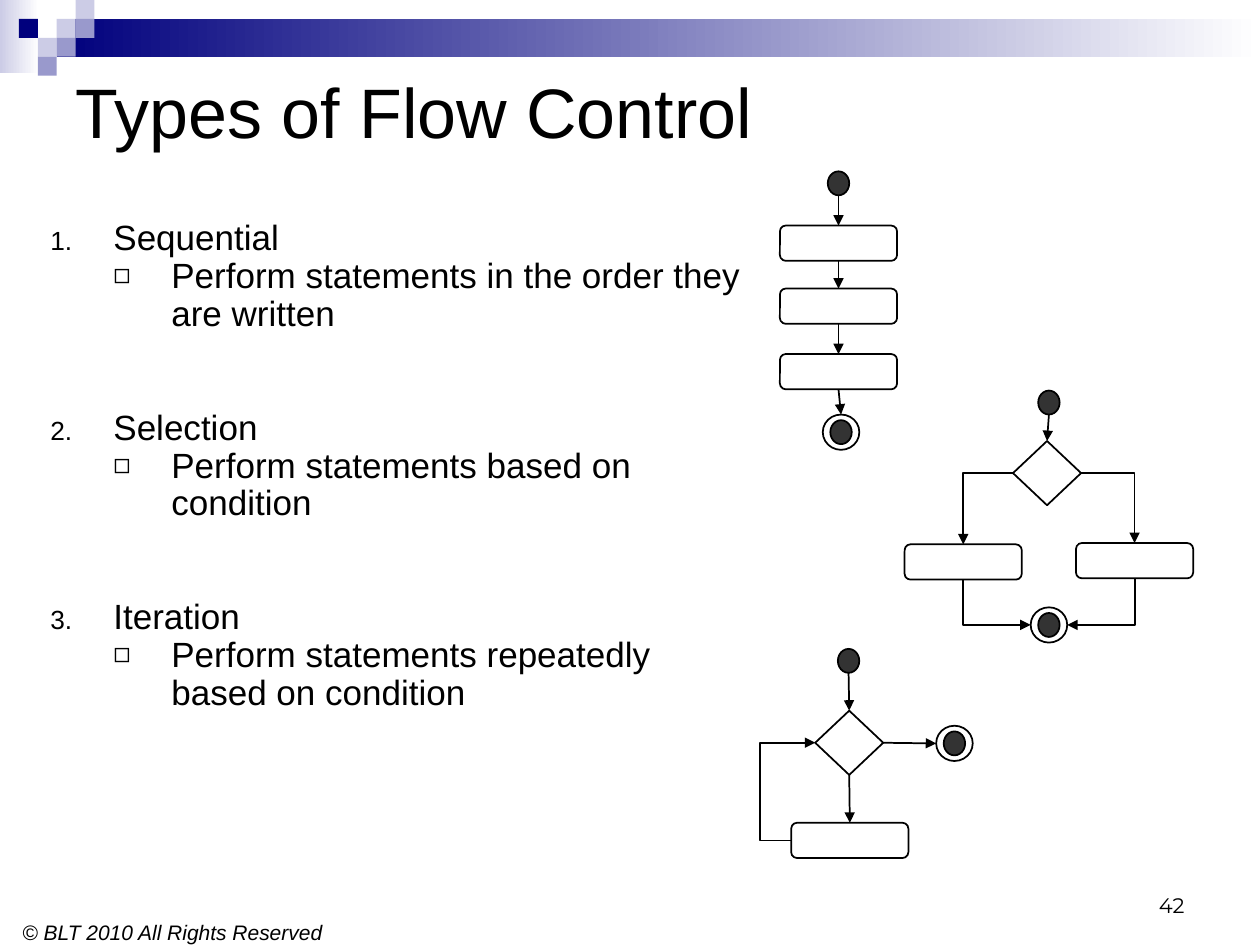
from typing import NamedTuple, Optional

from pptx import Presentation
from pptx.dml.color import RGBColor
from pptx.enum.shapes import MSO_CONNECTOR as Link, MSO_SHAPE as Shape
from pptx.enum.text import MSO_ANCHOR as Anchor, MSO_AUTO_SIZE as AutoSize, PP_ALIGN as Align
from pptx.oxml.ns import qn
from pptx.util import Inches, Pt
from lxml.etree import SubElement

BLACK = RGBColor(0, 0, 0)
WHITE = RGBColor(255, 255, 255)
DOT_GRAY = RGBColor(0x33, 0x33, 0x33)
NAVY = RGBColor(0, 0, 0x7D)
LILAC = RGBColor(0xCC, 0xCC, 0xE6)
PERIWINKLE = RGBColor(0x99, 0x99, 0xCC)
COLS, ROWS = 100, 75
TOP, LEFT, BOTTOM, RIGHT = range(4)


class Kind(NamedTuple):
    """A flowchart symbol, sized in grid cells."""
    shape: Shape
    width: float
    height: float
    fill: Optional[RGBColor] = None


class Topic(NamedTuple):
    name: str
    detail: str


STEP = Kind(Shape.ROUNDED_RECTANGLE, 9.3, 2.8)
DECISION = Kind(Shape.DIAMOND, 5.4, 5.1)
DOT = Kind(Shape.FLOWCHART_CONNECTOR, 1.7, 1.9, DOT_GRAY)
RING = Kind(Shape.FLOWCHART_CONNECTOR, 2.9, 2.8)
TOPICS = [
    Topic("Sequential", "Perform statements in the order they are written"),
    Topic("Selection", "Perform statements based on condition"),
    Topic("Iteration", "Perform statements repeatedly based on condition"),
]
MOSAIC = [(3, 1, LILAC), (4, 0, LILAC), (4, 1, PERIWINKLE), (2, 2, LILAC),
          (1, 1, NAVY), (3, 2, PERIWINKLE), (2, 3, PERIWINKLE)]
TILE = 1.5

prs = Presentation()
prs.slide_width, prs.slide_height = Inches(10), Inches(7.5)
s = prs.slides.add_slide(prs.slide_layouts[1])


def cells(*values: float) -> list[int]:
    """Lengths for alternating column and row counts."""
    spans = (prs.slide_width / COLS, prs.slide_height / ROWS)
    return [round(v * spans[i % 2]) for i, v in enumerate(values)]


def band(left: float, top: float, width: float, height: float,
         color: RGBColor, fade: bool = False) -> None:
    sp = s.shapes.add_shape(Shape.RECTANGLE, *cells(left, top, width, height))
    sp.shadow.inherit = False
    sp.line.fill.background()
    if fade:
        sp.fill.gradient()
        sp.fill.gradient_angle = 0
        for stop, tone in zip(sp.fill.gradient_stops, (color, WHITE)):
            stop.color.rgb = tone
    else:
        sp.fill.solid()
        sp.fill.fore_color.rgb = color


def node(kind: Kind, cx: float, cy: float):
    """Draw a symbol centred on a grid point."""
    sp = s.shapes.add_shape(kind.shape, *cells(
        cx - kind.width / 2, cy - kind.height / 2, kind.width, kind.height))
    sp.shadow.inherit = False
    if kind.fill is None:
        sp.fill.background()
    else:
        sp.fill.solid()
        sp.fill.fore_color.rgb = kind.fill
    sp.line.color.rgb = BLACK
    sp.line.width = Pt(1)
    return sp


def finish(cx: float, cy: float):
    node(DOT, cx, cy)
    return node(RING, cx, cy)


def side(sp, site: int) -> tuple[int, int]:
    dx, dy = [(1, 0), (0, 1), (1, 2), (2, 1)][site]
    return sp.left + sp.width * dx // 2, sp.top + sp.height * dy // 2


def style_line(cxn, arrow_end: str = "tailEnd") -> None:
    cxn.line.color.rgb = BLACK
    cxn.line.width = Pt(1)
    sp_pr = cxn._element.spPr
    SubElement(sp_pr.find(qn("a:ln")), qn(f"a:{arrow_end}"), type="triangle")
    SubElement(sp_pr, qn("a:effectLst"))


def arrow(a, b, start: int = BOTTOM, end: int = TOP) -> None:
    cxn = s.shapes.add_connector(Link.STRAIGHT, *side(a, start), *side(b, end))
    if a.auto_shape_type != Shape.FLOWCHART_CONNECTOR:
        cxn.begin_connect(a, start)
    if b.auto_shape_type != Shape.FLOWCHART_CONNECTOR:
        cxn.end_connect(b, end)
    style_line(cxn)


def corner(a, start: int, b, end: int, arrow_end: str) -> None:
    """Join two sides by a line that leaves a sideways and turns once."""
    cxn = s.shapes.add_connector(Link.ELBOW, *side(a, start), *side(b, end))
    cxn._element.spPr.find(qn("a:prstGeom")).set("prst", "bentConnector2")
    style_line(cxn, arrow_end)


def loop_back(a, b, turn: float) -> None:
    """Join two left sides by way of a column further left."""
    (x1, y1), (x2, y2) = side(a, LEFT), side(b, LEFT)
    cxn = s.shapes.add_connector(Link.ELBOW, x1, y1, x2, y2)
    share = round((cells(turn)[0] - x1) / (x2 - x1) * 100000)
    guides = cxn._element.spPr.find(qn("a:prstGeom")).get_or_add_avLst()
    SubElement(guides, qn("a:gd"), name="adj1", fmla=f"val {share}")
    style_line(cxn)


def format_font(p, size: float, name: str = "Arial", italic: bool = False) -> None:
    for r in p.runs:
        r.font.size, r.font.name, r.font.italic = Pt(size), name, italic
        r.font.color.rgb = BLACK


def add_item(tf, text: str, level: int, before: float, number: int) -> None:
    p = tf.paragraphs[0] if not tf.text else tf.add_paragraph()
    p.text, p.level, p.alignment = text, level, Align.LEFT
    p.line_spacing, p.space_before, p.space_after = 0.9, Pt(before), Pt(0)
    pPr = p._p.get_or_add_pPr()
    margin, hang, size = [(0.5, 0.5, 75), (0.96, 0.46, 80)][level]
    pPr.set("marL", str(Inches(margin)))
    pPr.set("indent", str(-Inches(hang)))
    SubElement(SubElement(pPr, qn("a:buClr")), qn("a:srgbClr"), val=str(BLACK))
    SubElement(pPr, qn("a:buSzPct"), val=f"{size}000")
    SubElement(pPr, qn("a:buFont"), typeface="Arial")
    if level:
        SubElement(pPr, qn("a:buChar"), char="◻")
    else:
        SubElement(pPr, qn("a:buAutoNum"), type="arabicPeriod", startAt=str(number))
    format_font(p, 20)


def label(text: str, box: tuple, font: str, align: Align, anchor: Anchor,
          italic: bool = False) -> None:
    tf = s.shapes.add_textbox(*cells(*box)).text_frame
    tf.word_wrap, tf.vertical_anchor = True, anchor
    tf.text = text
    tf.paragraphs[0].alignment = align
    format_font(tf.paragraphs[0], 12, font, italic)


def place(sp, box: tuple, anchor: Anchor):
    sp.left, sp.top, sp.width, sp.height = cells(*box)
    tf = sp.text_frame
    tf.word_wrap, tf.auto_size, tf.vertical_anchor = True, AutoSize.NONE, anchor
    return tf


band(0, 0, 3.1, 5.8, LILAC, fade=True)
band(3 * TILE, TILE, COLS - 3 * TILE, 2 * TILE, NAVY, fade=True)
for col, row, color in MOSAIC:
    band(col * TILE, row * TILE, TILE, TILE, color)

title = place(s.shapes.title, (5, 5, 90, 7.5), Anchor.MIDDLE)
title.text = "Types of Flow Control"
title.paragraphs[0].alignment = Align.LEFT
format_font(title.paragraphs[0], 40)

body = place(s.placeholders[1], (3, 13.5, 56.9, 54.4), Anchor.TOP)
body.margin_top = Inches(0.4)
for i, topic in enumerate(TOPICS, 1):
    add_item(body, topic.name, 0, 0 if i == 1 else 43.5, i)
    add_item(body, topic.detail, 1, 0, i)

label("© BLT 2010 All Rights Reserved", (0.8, 72.5, 33.3, 2.6), "Arial",
      Align.LEFT, Anchor.TOP, italic=True)
label("42", (71.7, 68.3, 23.3, 5), "Montserrat", Align.RIGHT, Anchor.BOTTOM)

sequence = [node(DOT, 66.55, 14.55), *(node(STEP, 66.55, y) for y in (19.3, 24.3, 29.5)),
            finish(66.75, 34.3)]
for a, b in zip(sequence, sequence[1:]):
    arrow(a, b)

start, choice = node(DOT, 83.25, 31.95), node(DECISION, 83.1, 37.55)
left_step, right_step = node(STEP, 76.45, 44.6), node(STEP, 90.05, 44.5)
end = finish(83.25, 49.6)
arrow(start, choice)
for step, way in ((left_step, LEFT), (right_step, RIGHT)):
    corner(choice, way, step, TOP, "tailEnd")
    corner(end, way, step, BOTTOM, "headEnd")

start, test = node(DOT, 67.35, 52.45), node(DECISION, 67.4, 58.95)
repeat, end = node(STEP, 67.45, 66.7), finish(75.75, 59)
arrow(start, test)
arrow(test, repeat)
arrow(test, end, RIGHT, LEFT)
loop_back(repeat, test, 60.3)

prs.save("out.pptx")
